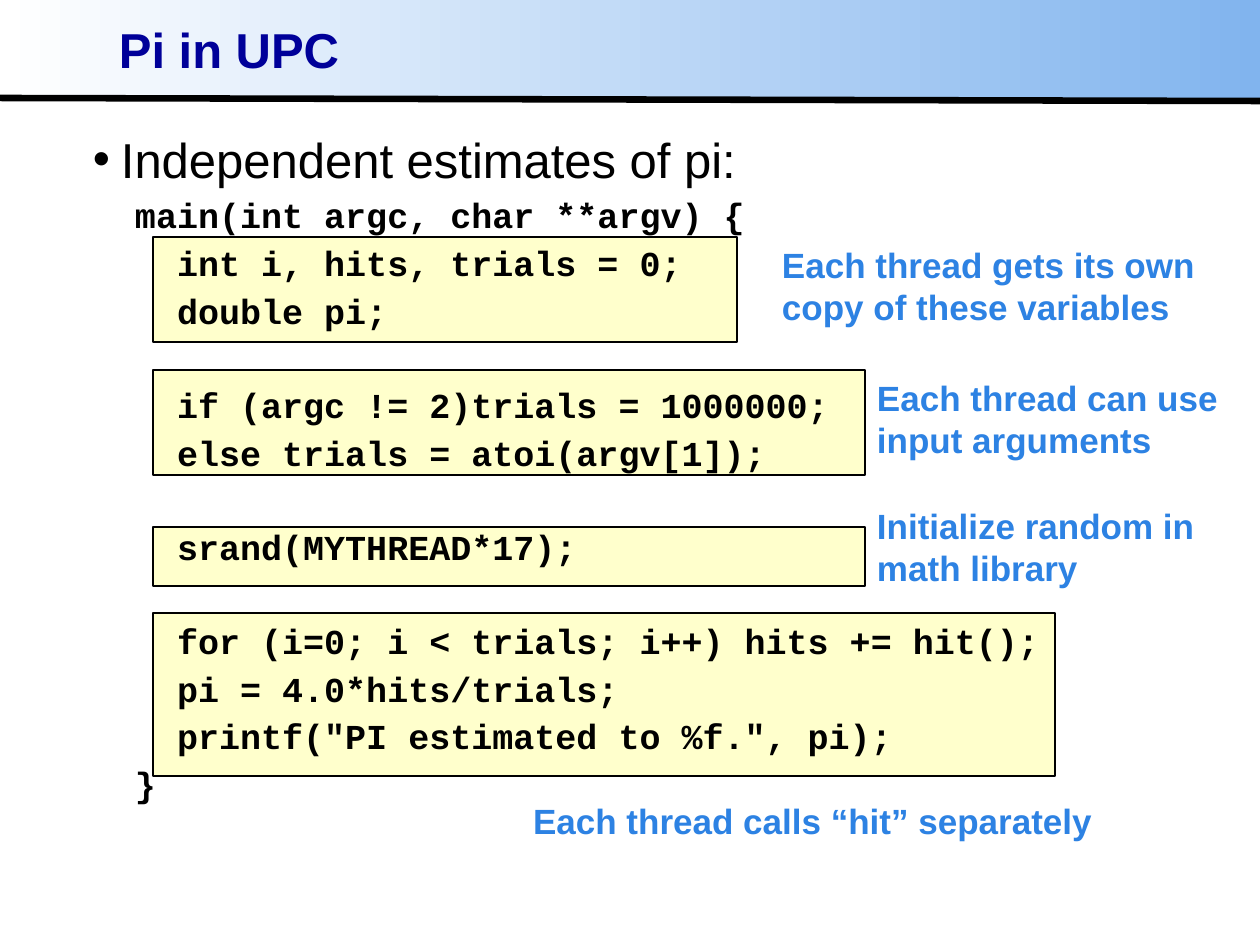
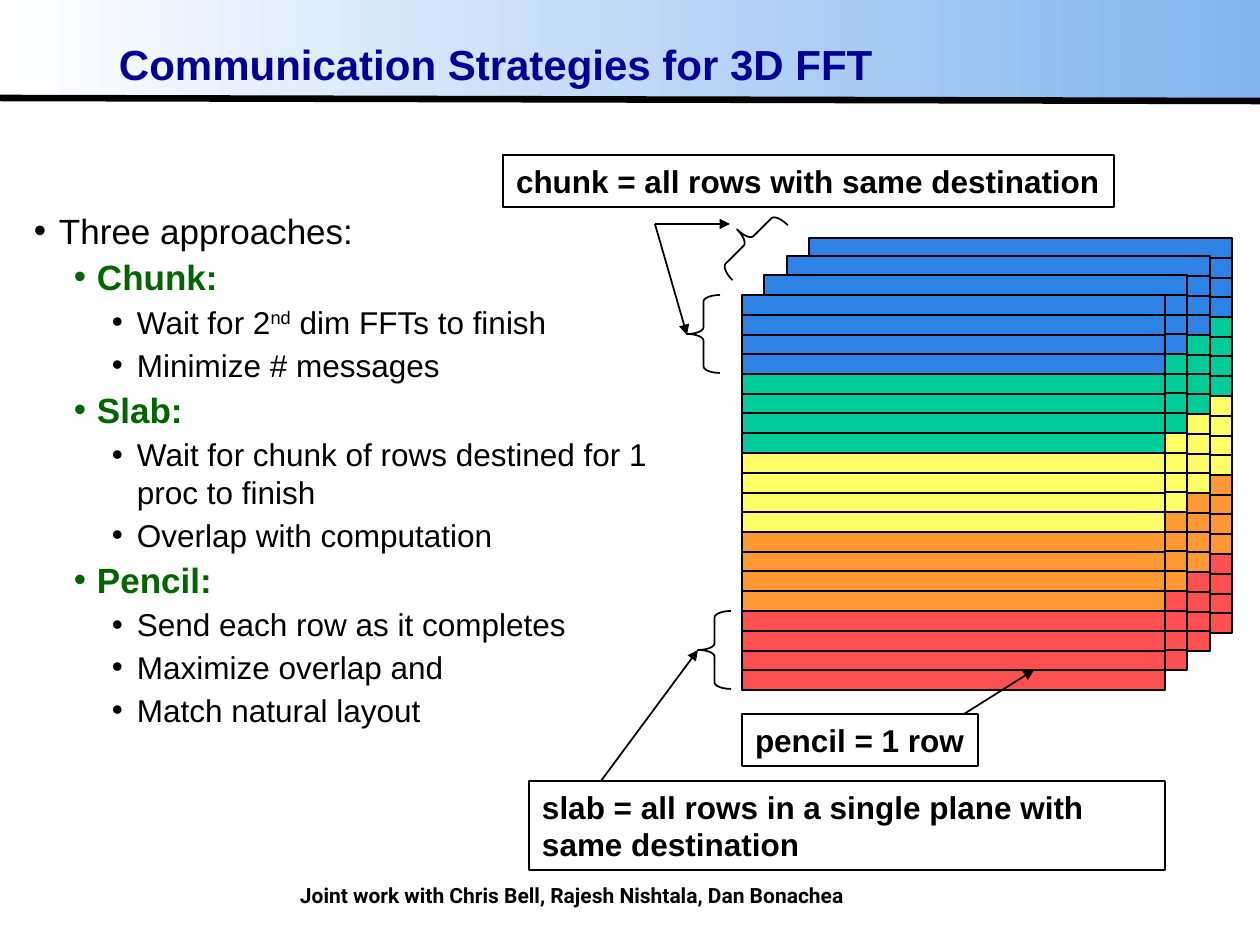
from dataclasses import dataclass
from typing import NamedTuple

from lxml.etree import SubElement
from pptx import Presentation
from pptx.dml.color import RGBColor
from pptx.enum.shapes import MSO_CONNECTOR, MSO_SHAPE
from pptx.enum.text import MSO_ANCHOR, MSO_AUTO_SIZE, PP_ALIGN
from pptx.oxml.ns import qn
from pptx.util import Emu, Pt

PIXELS_PER_INCH = 126


def px(length: int) -> Emu:
    return Emu(round(length * 914400 / PIXELS_PER_INCH))


class Box(NamedTuple):
    left: int
    top: int
    width: int
    height: int

    def emu(self) -> tuple[Emu, ...]:
        return tuple(px(length) for length in self)


class Point(NamedTuple):
    x: int
    y: int


class Insets(NamedTuple):
    horizontal: int
    vertical: int


@dataclass(frozen=True)
class Theme:
    font: str = "Arial"
    code_font: str = "Courier New"
    credit_font: str = "Roboto"
    black: str = "000000"
    white: str = "FFFFFF"
    band: str = "81B4EE"
    title: str = "000099"
    note: str = "2D82E3"
    code_fill: str = "FFFFCC"
    strategy: str = "006600"
    rows: tuple[str, ...] = ("2D82E3", "00CC99", "FFFF66", "FF9933", "FF5050")
    heading_size: int = 28
    small_title_size: int = 24
    text_size: int = 20
    detail_size: int = 18
    credit_size: int = 12
    list_gap: float = 2.8
    code_gap: float = 3.3
    code_block_gap: float = 29.8
    outline: float = 1
    divider: float = 3.75


THEME = Theme()
TIGHT = Insets(9, 4)
NORMAL = Insets(13, 6)


@dataclass(frozen=True)
class CodeNote:
    """A highlighted part of the program and the remark beside it."""
    highlight: Box
    remark: Box
    text: str


@dataclass(frozen=True)
class ListLevel:
    margin: int
    hanging: int
    size: int
    color: str = THEME.black
    bold: bool = False


@dataclass(frozen=True)
class Label:
    box: Box
    text: str
    wrap: bool = False


@dataclass(frozen=True)
class Brace:
    box: Box
    rotation: float = 0


CODE_NOTES = (
    CodeNote(Box(153, 237, 584, 105), Box(769, 237, 450, 97),
             "Each thread gets its own copy of these variables"),
    CodeNote(Box(153, 370, 712, 105), Box(864, 370, 396, 97),
             "Each thread can use input arguments"),
    CodeNote(Box(153, 527, 712, 59), Box(864, 498, 396, 97),
             "Initialize random in math library"),
    CodeNote(Box(153, 613, 902, 163), Box(520, 793, 689, 54),
             "Each thread calls “hit” separately"),
)
CODE_BLOCKS = (
    ("  main(int argc, char **argv) {",
     "    int i, hits, trials = 0;",
     "    double pi;"),
    ("    if (argc != 2)trials = 1000000;",
     "    else trials = atoi(argv[1]);"),
    ("    srand(MYTHREAD*17);",),
    ("    for (i=0; i < trials; i++) hits += hit();",
     "    pi = 4.0*hits/trials;",
     '    printf("PI estimated to %f.", pi);',
     "  }"),
)

HEADLINE = ListLevel(28, 28, THEME.heading_size)
LEVELS = (
    ListLevel(25, 25, THEME.text_size),
    ListLevel(63, 23, THEME.text_size, THEME.strategy, True),
    ListLevel(103, 25, THEME.detail_size),
)
# Text between carets is superscript.
APPROACHES = (
    (0, "Three approaches:"),
    (1, "Chunk:"),
    (2, "Wait for 2^nd^ dim FFTs to finish"),
    (2, "Minimize # messages"),
    (1, "Slab:"),
    (2, "Wait for chunk of rows destined for 1 proc to finish"),
    (2, "Overlap with computation"),
    (1, "Pencil:"),
    (2, "Send each row as it completes"),
    (2, "Maximize overlap and"),
    (2, "Match natural layout"),
)

PLANE_CORNERS = (Point(809, 238), Point(787, 256), Point(764, 275), Point(742, 295))
ROW_WIDTH, ROW_HEIGHT = 423, 20
ROWS_PER_COLOR = 4
PLANE_HEIGHT = 395

LABELS = (
    Label(Box(503, 155, 611, 52), "chunk = all rows with same destination"),
    Label(Box(742, 714, 236, 52), "pencil = 1 row"),
    Label(Box(529, 781, 636, 89),
          "slab = all rows in a single plane with same destination", True),
)
BRACES = (
    Brace(Box(698, 611, 33, 78)),
    Brace(Box(687, 295, 33, 78)),
    Brace(Box(732, 202, 33, 78), 45.3),
)
ARROWS = (
    (Point(964, 714), Point(1034, 670)),
    (Point(601, 781), Point(698, 650)),
    (Point(655, 224), Point(730, 224)),
    (Point(655, 224), Point(687, 335)),
)


def rgb(color: str) -> RGBColor:
    return RGBColor.from_string(color)


def write(paragraph, text: str, *, size: float, color: str = THEME.black,
          bold: bool = False, font: str = THEME.font, before: float = 0,
          line_spacing: float | None = None, margin: int = 0, hanging: int = 0,
          bullet: bool = False) -> None:
    """Fill one paragraph; text between carets is raised."""
    properties = paragraph._p.get_or_add_pPr()
    properties.set("marL", str(px(margin)))
    properties.set("indent", str(-px(hanging)))
    if bullet:
        SubElement(properties, qn("a:buChar")).set("char", "•")
    else:
        SubElement(properties, qn("a:buNone"))
    paragraph.alignment = PP_ALIGN.LEFT
    paragraph.space_before = Pt(before)
    paragraph.line_spacing = line_spacing
    for index, part in enumerate(text.split("^")):
        run = paragraph.add_run()
        run.text = part
        run.font.name, run.font.size, run.font.bold = font, Pt(size), bold
        run.font.color.rgb = rgb(color)
        if index % 2:
            run._r.get_or_add_rPr().set("baseline", "30000")


def set_frame(shape, insets: Insets = NORMAL, anchor=MSO_ANCHOR.MIDDLE, wrap: bool = True):
    frame = shape.text_frame
    frame.word_wrap = wrap
    frame.auto_size = MSO_AUTO_SIZE.NONE
    frame.vertical_anchor = anchor
    frame.margin_left = frame.margin_right = px(insets.horizontal)
    frame.margin_top = frame.margin_bottom = px(insets.vertical)
    return frame


def place(shape, box: Box) -> None:
    shape.left, shape.top, shape.width, shape.height = box.emu()


def add_outlined(slide, box: Box, fill: str | None = None, kind=MSO_SHAPE.RECTANGLE):
    shape = slide.shapes.add_shape(kind, *box.emu())
    shape.shadow.inherit = False
    if fill:
        shape.fill.solid()
        shape.fill.fore_color.rgb = rgb(fill)
    else:
        shape.fill.background()
    shape.line.color.rgb = rgb(THEME.black)
    shape.line.width = Pt(THEME.outline)
    return shape


def add_line(slide, start: Point, end: Point, width: float = THEME.outline,
             arrow: bool = False):
    connector = slide.shapes.add_connector(
        MSO_CONNECTOR.STRAIGHT, px(start.x), px(start.y), px(end.x), px(end.y))
    connector.line.color.rgb = rgb(THEME.black)
    connector.line.width = Pt(width)
    if arrow:
        SubElement(connector.line._get_or_add_ln(), qn("a:tailEnd")).set("type", "triangle")
    SubElement(connector.element.spPr, qn("a:effectLst"))
    return connector


def add_text(slide, box: Box, text: str, *, insets: Insets = NORMAL,
             anchor=MSO_ANCHOR.MIDDLE, **text_format) -> None:
    frame = set_frame(slide.shapes.add_textbox(*box.emu()), insets, anchor)
    write(frame.paragraphs[0], text, **text_format)


def add_header_to_master(presentation, slide) -> None:
    """Draw the band and divider, then move them behind everything on the master."""
    band = add_outlined(slide, Box(0, 0, 1260, 101))
    band.line.fill.background()
    band.fill.gradient()
    band.fill.gradient_angle = 0
    for stop, color in zip(band.fill.gradient_stops, (THEME.white, THEME.band)):
        stop.color.rgb = rgb(color)
    divider = add_line(slide, Point(0, 98), Point(1260, 101), THEME.divider)
    master_tree = presentation.slide_master.shapes.element
    for offset, shape in enumerate((band, divider)):
        shape.element.xpath("./*/p:cNvPr")[0].set("id", str(100 + offset))
        master_tree.insert(2 + offset, shape.element)


def set_title(slide, text: str, box: Box, size: int) -> None:
    title = slide.shapes.title
    place(title, box)
    write(set_frame(title, TIGHT).paragraphs[0], text, size=size,
          color=THEME.title, bold=True, line_spacing=0.87)


def place_body(slide, box: Box, insets: Insets):
    body = slide.placeholders[1]
    place(body, box)
    slide.shapes.element.append(body.element)  # in front of the shapes drawn so far
    return set_frame(body, insets, MSO_ANCHOR.TOP)


def write_item(paragraph, text: str, level: ListLevel, before: float) -> None:
    write(paragraph, text, size=level.size, color=level.color, bold=level.bold,
          margin=level.margin, hanging=level.hanging, bullet=True, before=before)


def build_pi_slide(slide) -> None:
    set_title(slide, "Pi in UPC", Box(110, 24, 1076, 58), THEME.heading_size)
    for note in CODE_NOTES:
        add_outlined(slide, note.highlight, THEME.code_fill)
        add_text(slide, note.remark, note.text, size=THEME.text_size,
                 color=THEME.note, bold=True)
    frame = place_body(slide, Box(84, 125, 1103, 694), TIGHT)
    write_item(frame.paragraphs[0], "Independent estimates of pi:", HEADLINE, 0)
    for block_index, block in enumerate(CODE_BLOCKS):
        for line_index, line in enumerate(block):
            starts_block = block_index > 0 and line_index == 0
            write(frame.add_paragraph(), line, size=THEME.text_size, bold=True,
                  font=THEME.code_font,
                  before=THEME.code_block_gap if starts_block else THEME.code_gap)


def add_plane(slide, corner: Point) -> None:
    row_count = ROWS_PER_COLOR * len(THEME.rows)
    for row in range(row_count):
        top = corner.y + round(row * PLANE_HEIGHT / row_count)
        add_outlined(slide, Box(corner.x, top, ROW_WIDTH, ROW_HEIGHT),
                     THEME.rows[row // ROWS_PER_COLOR])


def build_fft_slide(slide) -> None:
    set_title(slide, "Communication Strategies for 3D FFT", Box(110, 45, 1076, 44),
              THEME.small_title_size)
    for corner in PLANE_CORNERS:
        add_plane(slide, corner)
    add_text(slide, Box(294, 883, 683, 31),
             "Joint work with Chris Bell, Rajesh Nishtala, Dan Bonachea",
             insets=Insets(6, 6), anchor=MSO_ANCHOR.BOTTOM,
             size=THEME.credit_size, bold=True, font=THEME.credit_font)
    for label in LABELS:
        frame = set_frame(add_outlined(slide, label.box), wrap=label.wrap)
        write(frame.paragraphs[0], label.text, size=THEME.detail_size, bold=True)
    for brace in BRACES:
        shape = add_outlined(slide, brace.box, kind=MSO_SHAPE.LEFT_BRACE)
        shape.adjustments[0] = 0.2
        shape.rotation = brace.rotation
    frame = place_body(slide, Box(21, 203, 665, 622), NORMAL)
    for index, (level, text) in enumerate(APPROACHES):
        paragraph = frame.add_paragraph() if index else frame.paragraphs[0]
        paragraph.level = level
        write_item(paragraph, text, LEVELS[level], THEME.list_gap if index else 0)
    for start, end in ARROWS:
        add_line(slide, start, end, arrow=True)


def main() -> None:
    presentation = Presentation()
    presentation.slide_width, presentation.slide_height = px(1260), px(945)
    layout = presentation.slide_layouts[1]
    pi_slide, fft_slide = (presentation.slides.add_slide(layout) for _ in range(2))
    add_header_to_master(presentation, pi_slide)
    build_pi_slide(pi_slide)
    build_fft_slide(fft_slide)
    presentation.save("out.pptx")


if __name__ == "__main__":
    main()
